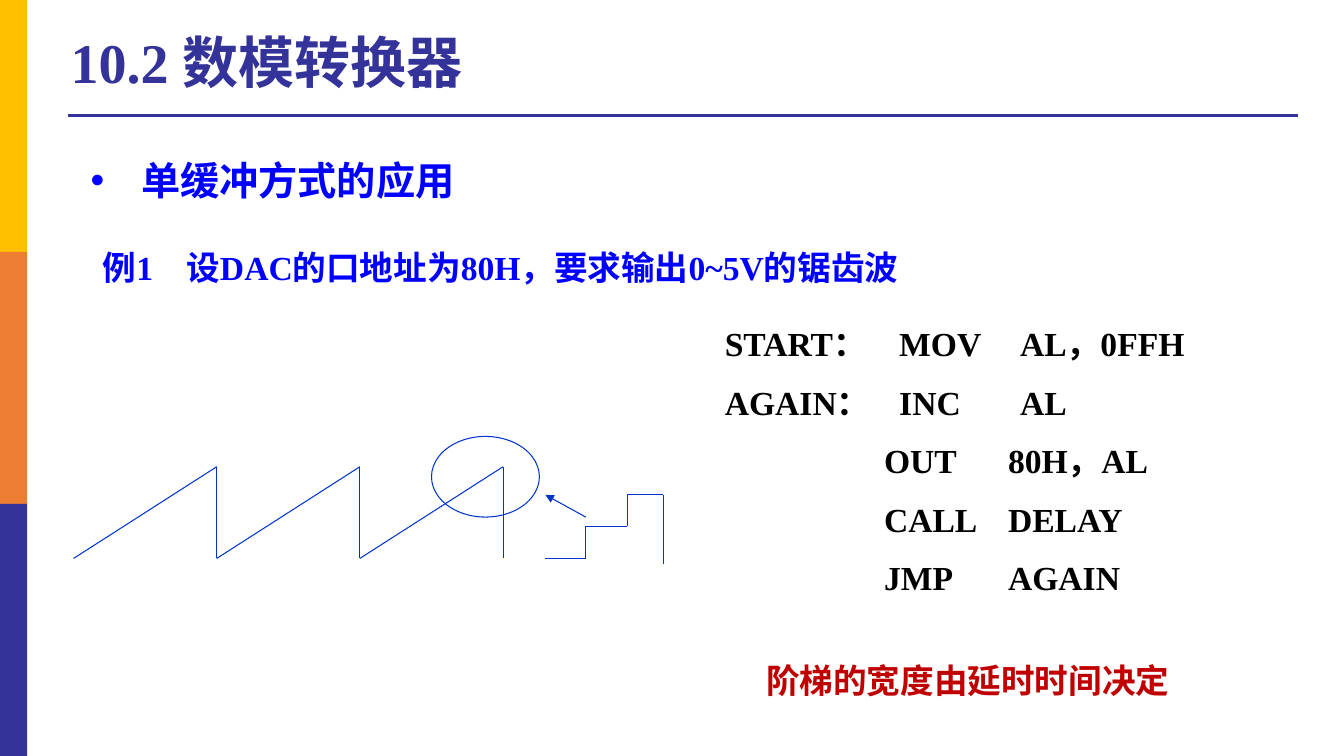
from itertools import pairwise

from lxml.etree import SubElement
from pptx import Presentation
from pptx.dml.color import RGBColor
from pptx.enum.shapes import MSO_CONNECTOR as Connector, MSO_SHAPE as Shape
from pptx.enum.text import MSO_ANCHOR as Anchor, MSO_AUTO_SIZE as AutoSize, PP_ALIGN as Align
from pptx.oxml.ns import qn
from pptx.util import Inches, Pt

COLORS = {
    "navy": "333399", "gold": "FFC000", "orange": "ED7D31", "blue": "0000FF",
    "wave": "0033CC", "red": "C00000", "black": "000000", "white": "FFFFFF",
}
CJK = "Noto Sans CJK SC"
LATIN = "Times New Roman"


def write(box, lines, size, color, font, gap=0, stops=()):
    frame = box.text_frame
    frame.word_wrap = True
    frame.auto_size = AutoSize.NONE
    frame.vertical_anchor = Anchor.MIDDLE
    for index, line in enumerate(lines):
        paragraph = frame.paragraphs[0] if index == 0 else frame.add_paragraph()
        paragraph.alignment = Align.LEFT
        paragraph.space_before = Pt(gap if index else 0)
        if stops:
            tabs = SubElement(paragraph._p.get_or_add_pPr(), qn("a:tabLst"))
            for stop in stops[index]:
                SubElement(tabs, qn("a:tab"), pos=str(Inches(stop)), algn="l")
        run = paragraph.add_run()
        run.text = line
        run.font.size = Pt(size)
        run.font.bold = True
        run.font.name = font
        run.font.color.rgb = RGBColor.from_string(COLORS[color])
        SubElement(run._r.get_or_add_rPr(), qn("a:ea"), typeface=CJK)


def draw_line(shapes, start, end, color, width):
    line = shapes.add_connector(Connector.STRAIGHT, *map(Inches, start + end))
    line.line.color.rgb = RGBColor.from_string(COLORS[color])
    line.line.width = Pt(width)
    SubElement(line._element.spPr, qn("a:effectLst"))
    return line


prs = Presentation()
prs.slide_width = Inches(13.33)
prs.slide_height = Inches(7.5)
slide = prs.slides.add_slide(prs.slide_layouts[1])

draw_line(slide.shapes, (0.67, 1.15), (12.87, 1.15), "navy", 2.25)
for index, color in enumerate(("gold", "orange", "navy")):
    band = slide.shapes.add_shape(
        Shape.RECTANGLE, 0, Inches(2.5 * index), Inches(0.27), Inches(2.5))
    band.shadow.inherit = False
    band.fill.solid()
    band.fill.fore_color.rgb = RGBColor.from_string(COLORS[color])
    band.line.fill.background()

title = slide.shapes.title
title.left, title.top, title.width, title.height = map(Inches, (0.6, 0.21, 9.91, 0.87))
write(title, ["10.2 数模转换器"], 40, "navy", LATIN)
title.text_frame.paragraphs[0].line_spacing = 0.9

topic = slide.placeholders[1]
topic.left, topic.top, topic.width, topic.height = map(Inches, (0.8, 1.5, 4.13, 0.57))
topic.fill.solid()
topic.fill.fore_color.rgb = RGBColor.from_string(COLORS["white"])
write(topic, ["单缓冲方式的应用"], 28, "blue", CJK)
topic_format = topic.text_frame.paragraphs[0]._p.get_or_add_pPr()
topic_format.set("marL", str(Inches(0.5)))
topic_format.set("indent", str(Inches(-0.5)))
SubElement(topic_format, qn("a:buFont"), typeface="Arial")
SubElement(topic_format, qn("a:buChar"), char="•")

example = slide.shapes.add_textbox(Inches(0.92), Inches(2.4), Inches(8.38), Inches(0.5))
write(example, ["例1\t设DAC的口地址为80H，要求输出0~5V的锯齿波"], 24, "blue", LATIN,
      stops=[(0.83,)])

program = slide.shapes.add_textbox(Inches(7.09), Inches(3.1), Inches(6.7), Inches(2.93))
instructions = [
    "START：\tMOV\tAL，0FFH",
    "AGAIN：\tINC\tAL",
    "\tOUT\t80H，AL",
    "\tCALL\tDELAY",
    "\tJMP\tAGAIN",
]
labelled, unlabelled = (1.73, 2.93), (1.58, 2.81)
write(program, instructions, 24, "black", LATIN, gap=13,
      stops=[unlabelled if text.startswith("\t") else labelled for text in instructions])

diagram = slide.shapes.add_group_shape().shapes
base, peak, period = 5.54, 4.63, 1.42
sawtooth = [(0.73, base)]
for tooth in range(1, 4):
    x = 0.73 + period * tooth
    sawtooth += [(x, peak), (x, base)]
staircase = [(5.41, base), (5.81, base), (5.81, 5.22), (6.22, 5.22),
             (6.22, 4.91), (6.58, 4.91), (6.58, 5.6)]
for outline in (sawtooth, staircase):
    for start, end in pairwise(outline):
        draw_line(diagram, start, end, "wave", 0.75)

lens = diagram.add_shape(
    Shape.FLOWCHART_CONNECTOR, Inches(4.28), Inches(4.33), Inches(1.07), Inches(0.8))
lens.shadow.inherit = False
lens.fill.background()
lens.line.color.rgb = RGBColor.from_string(COLORS["wave"])
lens.line.width = Pt(0.75)

pointer = draw_line(diagram, (5.81, 5.13), (5.41, 4.91), "wave", 0.75)
SubElement(pointer.line._get_or_add_ln(), qn("a:tailEnd"), type="triangle")

remark = slide.shapes.add_textbox(Inches(7.5), Inches(6.5), Inches(6.04), Inches(0.5))
write(remark, ["阶梯的宽度由延时时间决定"], 24, "red", CJK)

prs.save("out.pptx")
